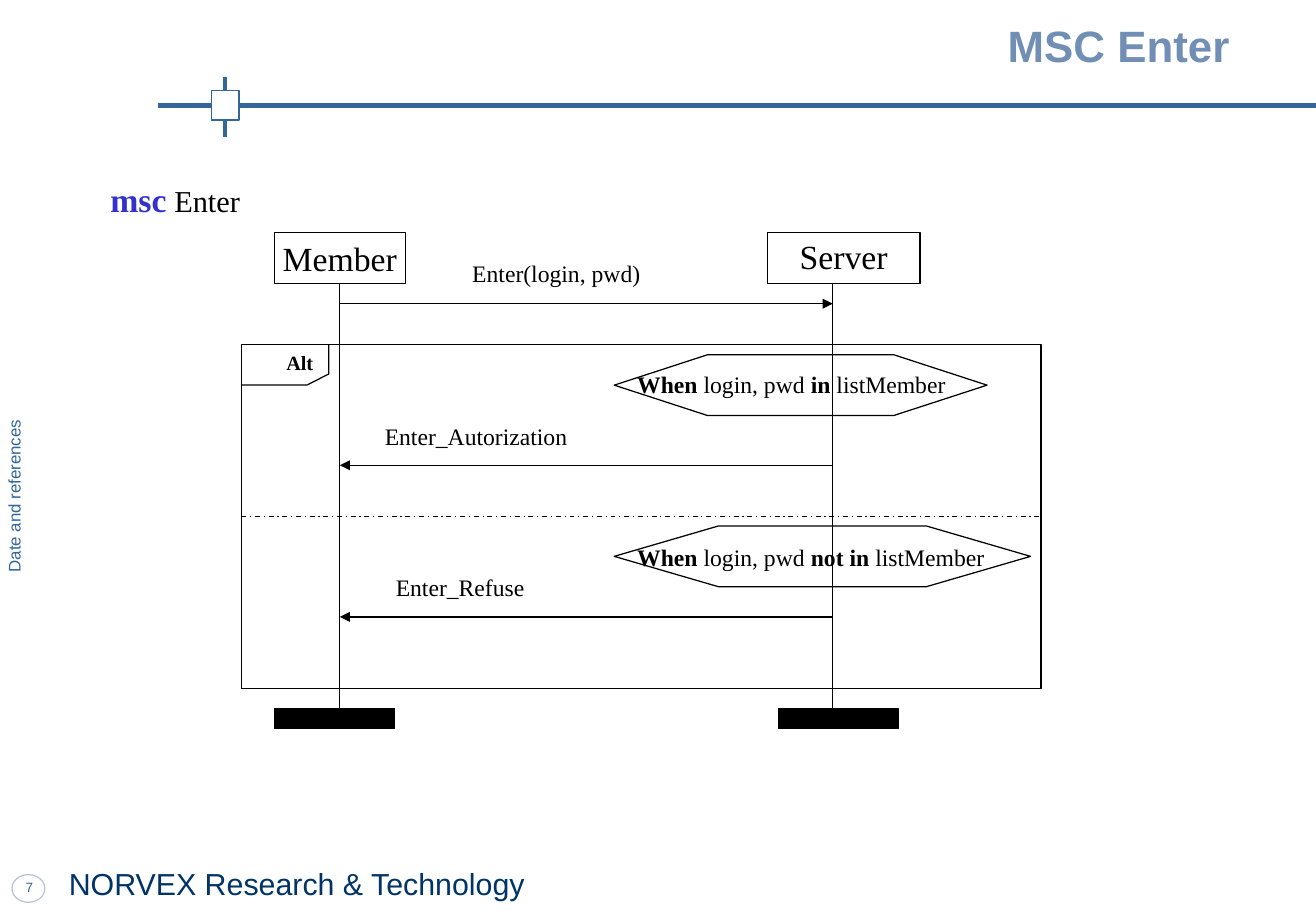
from lxml import etree
from pptx import Presentation
from pptx.dml.color import RGBColor
from pptx.enum.dml import MSO_LINE
from pptx.enum.shapes import MSO_CONNECTOR, MSO_SHAPE
from pptx.enum.text import MSO_ANCHOR, MSO_AUTO_SIZE, PP_ALIGN
from pptx.oxml.ns import qn
from pptx.util import Cm, Pt

RECT, OVAL, HEXAGON = MSO_SHAPE.RECTANGLE, MSO_SHAPE.OVAL, MSO_SHAPE.HEXAGON
STRAIGHT = MSO_CONNECTOR.STRAIGHT
DASH_DOT = MSO_LINE.DASH_DOT
TOP, MIDDLE = MSO_ANCHOR.TOP, MSO_ANCHOR.MIDDLE
LEFT, CENTER, RIGHT = PP_ALIGN.LEFT, PP_ALIGN.CENTER, PP_ALIGN.RIGHT
FIXED = MSO_AUTO_SIZE.NONE

SERIF, SANS = "Times New Roman", "Arial"
BLACK, WHITE, BLUE, NAVY = "000000", "FFFFFF", "336699", "003366"
KEYWORD_BLUE, TITLE_BLUE, PALE_BLUE = "3333CC", "718EB5", "B6C5DA"

MEMBER_X, SERVER_X = 7.11, 17.42
HEAD_TOP, HEAD_HEIGHT = 4.87, 1.06
HEAD_BOTTOM, FOOT_TOP = HEAD_TOP + HEAD_HEIGHT, 14.81
ALT_LEFT, ALT_TOP, ALT_WIDTH, ALT_HEIGHT = 5.05, 7.2, 16.73, 7.2


def color(hex_code):
    """Turn a hex string into a colour."""
    return RGBColor.from_string(hex_code)


def run(text, size, font=SERIF, ink=BLACK, bold=False):
    """Describe one run of text."""
    return text, size, font, ink, bold


def write(shape, runs, align=LEFT, anchor=TOP, wrap=True):
    """Fill the first paragraph of a shape run by run."""
    frame = shape.text_frame
    frame.auto_size = FIXED
    frame.word_wrap = wrap
    frame.vertical_anchor = anchor
    paragraph = frame.paragraphs[0]
    paragraph.alignment = align
    for text, size, font, ink, bold in runs:
        piece = paragraph.add_run()
        piece.text = text
        piece.font.size = Pt(size)
        piece.font.name = font
        piece.font.bold = bold
        piece.font.color.rgb = color(ink)
    return paragraph


def paint(shape, fill=None, line=BLACK):
    """Set the fill and outline of a shape and drop its shadow."""
    shape.shadow.inherit = False
    if fill:
        shape.fill.solid()
        shape.fill.fore_color.rgb = color(fill)
    else:
        shape.fill.background()
    if line:
        shape.line.color.rgb = color(line)
        shape.line.width = Pt(0.75)
    else:
        shape.line.fill.background()
    return shape


def add_box(slide, kind, place, fill=None, line=BLACK):
    """Add a preset shape at left, top, width, height."""
    return paint(slide.shapes.add_shape(kind, *map(Cm, place)), fill, line)


def add_label(slide, place, runs, **layout):
    """Add a text box at left, top, width, height."""
    label = slide.shapes.add_textbox(*map(Cm, place))
    write(label, runs, **layout)
    return label


def add_line(slide, start, end, ink=BLACK, width=0.75, arrow=False):
    """Add a straight line, with an arrowhead at its end if asked."""
    line = slide.shapes.add_connector(STRAIGHT, *map(Cm, start + end))
    line.line.color.rgb = color(ink)
    line.line.width = Pt(width)
    if arrow:
        etree.SubElement(line.line._get_or_add_ln(), qn("a:tailEnd"), type="triangle")
    etree.SubElement(line._element.spPr, qn("a:effectLst"))
    return line


def add_message(slide, y, start_x, end_x, text, text_place):
    """Add a message arrow between lifelines with its text."""
    add_line(slide, (start_x, y), (end_x, y), arrow=True)
    add_label(slide, text_place, [run(text, 14)])


def add_condition(slide, top, width, inset, operator, text_place):
    """Add a guard hexagon with its condition."""
    guard = add_box(slide, HEXAGON, (12.85, top, width, 1.27))
    guard.adjustments[0] = inset
    add_label(slide, text_place, [
        run("When ", 14, bold=True),
        run("login, pwd ", 14),
        run(operator, 14, bold=True),
        run(" listMember", 14),
    ])


def add_lifeline(slide, name, x, head_left, head_width, foot_left, overlay_top):
    """Add an instance head, its lifeline and its end bar."""
    head = add_box(slide, RECT, (head_left, HEAD_TOP, head_width, HEAD_HEIGHT))
    paragraph = write(head, [run(name, 20)], CENTER, MIDDLE, wrap=False)
    add_box(slide, RECT, (foot_left, FOOT_TOP, 2.51, 0.43), fill=BLACK)
    lifeline = add_line(slide, (x, HEAD_BOTTOM), (x, FOOT_TOP))
    add_line(slide, (x, overlay_top), (x, 14.17))
    return head, lifeline, paragraph


def add_alt_frame(slide):
    """Add the alternative frame with its tag and divider."""
    add_box(slide, RECT, (ALT_LEFT, ALT_TOP, ALT_WIDTH, ALT_HEIGHT))
    tag = slide.shapes.build_freeform(Cm(ALT_LEFT), Cm(8.05))
    corners = [(6.43, 8.05), (6.88, 7.82), (6.88, ALT_TOP)]
    tag.add_line_segments([(Cm(x), Cm(y)) for x, y in corners], close=False)
    paint(tag.convert_to_shape())
    add_label(slide, (5.74, 7.2, 1.37, 0.76), [run("Alt", 12, bold=True)])
    divider = add_line(slide, (ALT_LEFT, 10.8), (ALT_LEFT + ALT_WIDTH, 10.8))
    divider.line.dash_style = DASH_DOT


def add_page_frame(slide):
    """Add the title, the header rule, the footer and the side text."""
    title = slide.shapes.title
    title.left, title.top, title.width, title.height = map(Cm, (4.62, 0.36, 21.36, 1.17))
    write(title, [run("MSC Enter", 26, SANS, TITLE_BLUE, True)], RIGHT, MIDDLE)

    add_line(slide, (4.7, 1.6), (4.7, 2.87), BLUE, 2.25)
    add_line(slide, (3.3, 2.2), (27.53, 2.2), BLUE, 3)
    add_box(slide, RECT, (4.42, 1.9, 0.58, 0.61), WHITE, BLUE)

    footer = add_box(slide, RECT, (1.19, 17.88, 19.33, 1.17), WHITE, None)
    write(footer, [run("NORVEX Research & Technology", 18, SANS, NAVY)], anchor=MIDDLE)
    add_box(slide, OVAL, (0.25, 18.29, 0.69, 0.58), line=PALE_BLUE)
    add_label(slide, (0.13, 18.26, 0.97, 0.61), [run("7", 8, SANS, BLUE)], align=CENTER)

    side = add_label(slide, (0, 3.15, 0.58, 14.45),
                     [run("Date and references", 10, SANS, BLUE)],
                     align=CENTER, anchor=MIDDLE)
    side.text_frame.margin_left = side.text_frame.margin_right = 0
    side.text_frame._txBody.bodyPr.set("vert", "vert270")


def main():
    """Build the sequence chart slide."""
    deck = Presentation()
    deck.slide_width, deck.slide_height = Cm(27.53), Cm(19.05)
    slide = deck.slides.add_slide(deck.slide_layouts[5])
    add_page_frame(slide)

    add_label(slide, (2.06, 3.61, 13.31, 1.12), [
        run("msc", 20, ink=KEYWORD_BLUE, bold=True),
        run(" ", 18, ink=KEYWORD_BLUE, bold=True),
        run("Enter", 18),
    ])
    add_alt_frame(slide)

    member, member_line, _ = add_lifeline(slide, "Member", MEMBER_X, 5.74, 2.74, 5.74, 11.43)
    member_line.begin_connect(member, 2)
    _, _, server_name = add_lifeline(slide, "Server", SERVER_X, 16.05, 3.2, 16.28, 11.23)
    server_name.line_spacing = 0.9

    add_condition(slide, 7.42, 7.8, 1.535, "in", (13.08, 7.62, 8.03, 0.86))
    add_condition(slide, 11, 8.71, 1.715, "not in", (13.08, 11.23, 8.48, 0.86))

    add_message(slide, 6.35, MEMBER_X, SERVER_X, "Enter(login, pwd)", (9.63, 5.28, 4.83, 0.86))
    add_message(slide, 9.73, SERVER_X, MEMBER_X, "Enter_Autorization", (7.8, 8.69, 5.97, 0.86))
    add_message(slide, 12.9, SERVER_X, MEMBER_X, "Enter_Refuse", (8.03, 11.86, 4.11, 0.86))

    deck.save("out.pptx")


if __name__ == "__main__":
    main()
